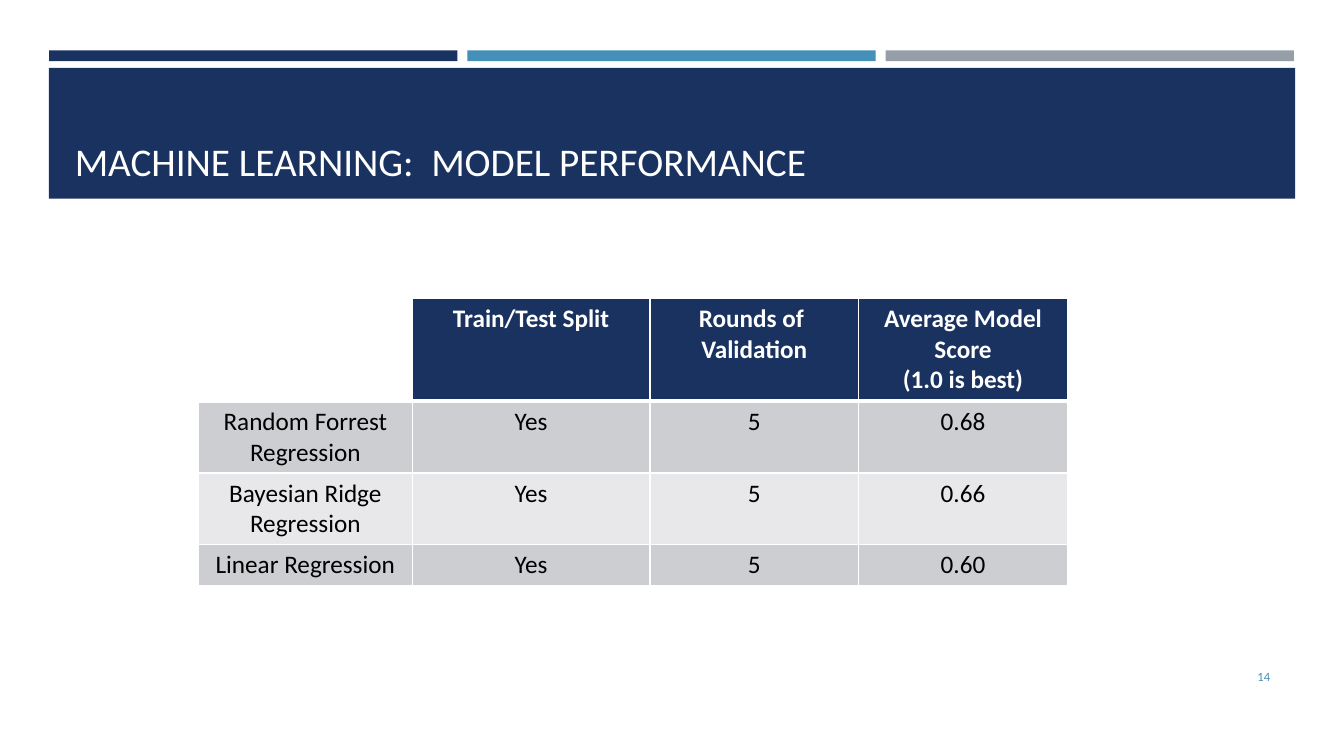
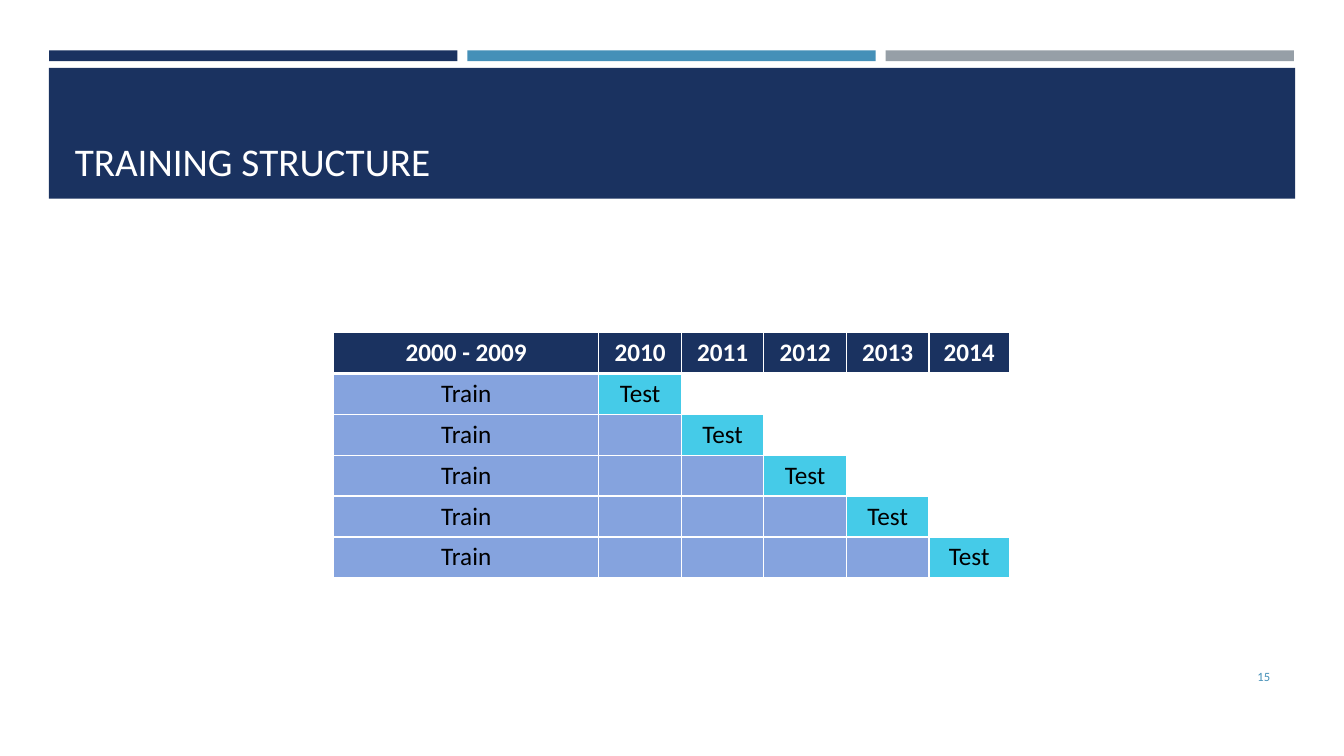
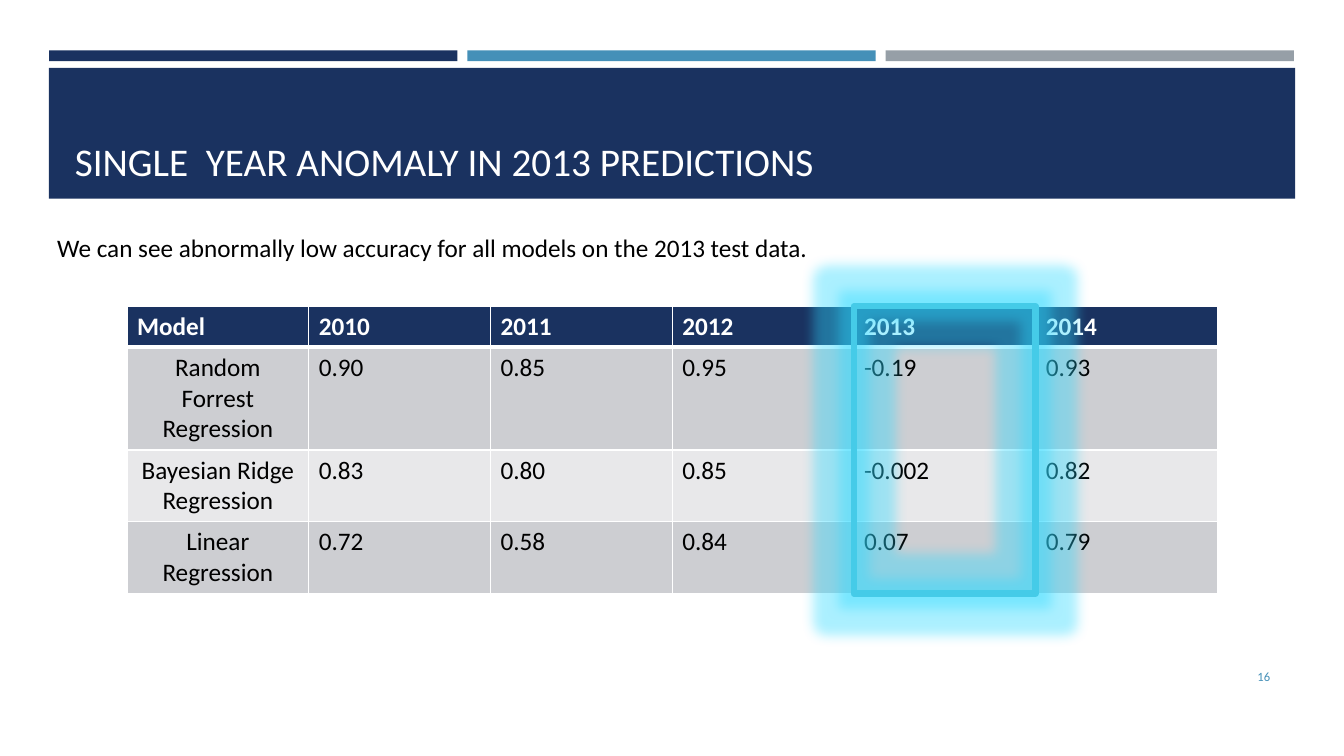
from dataclasses import dataclass
from typing import Callable

from lxml.etree import SubElement
from pptx import Presentation
from pptx.dml.color import RGBColor
from pptx.enum.shapes import MSO_SHAPE as Preset
from pptx.enum.text import MSO_ANCHOR as Anchor, MSO_AUTO_SIZE as AutoSize, PP_ALIGN as Align
from pptx.oxml.ns import qn
from pptx.util import Cm, Pt

COLOURS = {
    "navy": "1A3260",
    "blue": "4590B8",
    "grey": "969FA7",
    "white": "FFFFFF",
    "black": "000000",
    "band_dark": "CDCED2",
    "band_light": "E8E8EA",
    "train": "85A3DE",
    "test": "45CBE8",
}
FONT = "Calibri"
CELL_PADDING = 0.25
LINE_HEIGHT = 0.78
YEARS = ["2010", "2011", "2012", "2013", "2014"]
FIRST_PAGE = 14


@dataclass(frozen=True)
class Box:
    left: float
    top: float
    width: float
    height: float

    def lengths(self) -> tuple[Cm, Cm, Cm, Cm]:
        return Cm(self.left), Cm(self.top), Cm(self.width), Cm(self.height)


@dataclass(frozen=True)
class TextStyle:
    size: float
    colour: str
    bold: bool = False
    align: Align = Align.LEFT


@dataclass(frozen=True)
class Grid:
    left: float
    top: float
    widths: list[float]
    line_counts: list[int]
    rows: list[list[str]]
    fill: Callable[[int, int], str]
    align: Callable[[int, int], Align]

    def heights(self) -> list[float]:
        return [CELL_PADDING + LINE_HEIGHT * count for count in self.line_counts]

    def column_box(self, column: int) -> Box:
        return Box(self.left + sum(self.widths[:column]), self.top,
                   self.widths[column], sum(self.heights()))


@dataclass(frozen=True)
class Page:
    title: str
    grid: Grid
    caption: str = ""
    highlighted_column: int | None = None


BARS = [(Box(1.24 + 10.54 * i, 1.27, 10.29, 0.27), colour)
        for i, colour in enumerate(["navy", "blue", "grey"])]
BANNER = (Box(1.23, 1.71, 31.41, 3.3), "navy")
TITLE_BOX = Box(1.63, 1.96, 30.63, 2.82)
NUMBER_BOX = Box(29.34, 16.54, 2.92, 1.02)
CAPTION_BOX = Box(1.19, 5.74, 19.69, 1.03)

TITLE_STYLE = TextStyle(28, "white")
NUMBER_STYLE = TextStyle(9, "blue", align=Align.RIGHT)
CAPTION_STYLE = TextStyle(18, "black")


def rgb(name: str) -> RGBColor:
    return RGBColor.from_string(COLOURS[name])


def write(frame, text: str, style: TextStyle) -> None:
    frame.text = text
    for paragraph in frame.paragraphs:
        paragraph.alignment = style.align
        for run in paragraph.runs:
            run.font.name = FONT
            run.font.size = Pt(style.size)
            run.font.bold = style.bold
            run.font.color.rgb = rgb(style.colour)


def add_bar(slide, box: Box, colour: str) -> None:
    bar = slide.shapes.add_shape(Preset.RECTANGLE, *box.lengths())
    bar.shadow.inherit = False
    bar.fill.solid()
    bar.fill.fore_color.rgb = rgb(colour)
    bar.line.fill.background()
    slide.shapes.title.element.addprevious(bar.element)


def place_title(slide, text: str) -> None:
    title = slide.shapes.title
    title.left, title.top, title.width, title.height = TITLE_BOX.lengths()
    write(title.text_frame, text, TITLE_STYLE)
    title.text_frame.auto_size = AutoSize.NONE
    title.text_frame.vertical_anchor = Anchor.BOTTOM


def add_number(slide, number: int) -> None:
    frame = slide.shapes.add_textbox(*NUMBER_BOX.lengths()).text_frame
    frame.word_wrap = True
    frame.vertical_anchor = Anchor.MIDDLE
    write(frame, str(number), NUMBER_STYLE)


def add_caption(slide, text: str) -> None:
    frame = slide.shapes.add_textbox(*CAPTION_BOX.lengths()).text_frame
    frame.word_wrap = False
    frame.auto_size = AutoSize.SHAPE_TO_FIT_TEXT
    write(frame, text, CAPTION_STYLE)


def set_borders(cell, row: int) -> None:
    properties = cell._tc.get_or_add_tcPr()
    widths = {"lnL": 1, "lnR": 1, "lnT": 3 if row == 1 else 1, "lnB": 3 if row == 0 else 1}
    for side, width in widths.items():
        border = SubElement(properties, qn(f"a:{side}"), w=str(Pt(width)))
        fill = SubElement(border, qn("a:solidFill"))
        SubElement(fill, qn("a:srgbClr"), val=COLOURS["white"])


def add_grid(slide, grid: Grid) -> None:
    heights = grid.heights()
    box = Box(grid.left, grid.top, sum(grid.widths), sum(heights))
    table = slide.shapes.add_table(len(heights), len(grid.widths), *box.lengths()).table
    table.horz_banding = False
    for column, width in zip(table.columns, grid.widths):
        column.width = Cm(width)
    for row, height in zip(table.rows, heights):
        row.height = Cm(height)
    for r, texts in enumerate(grid.rows):
        for c, text in enumerate(texts):
            cell = table.cell(r, c)
            set_borders(cell, r)
            cell.fill.solid()
            cell.fill.fore_color.rgb = rgb(grid.fill(r, c))
            style = TextStyle(18, "black" if r else "white", r == 0, grid.align(r, c))
            write(cell.text_frame, text, style)


def add_highlight(slide, box: Box) -> None:
    highlight = slide.shapes.add_shape(Preset.RECTANGLE, *box.lengths())
    highlight.shadow.inherit = False
    highlight.fill.background()
    highlight.line.color.rgb = rgb("test")
    highlight.line.width = Pt(4.5)
    effects = highlight.element.spPr.find(qn("a:effectLst"))
    glow = SubElement(effects, qn("a:glow"), rad=str(Pt(18)))
    colour = SubElement(glow, qn("a:srgbClr"), val=COLOURS["test"])
    SubElement(colour, qn("a:satMod"), val="175000")
    SubElement(colour, qn("a:alpha"), val="40000")


def banded_fill(row: int, column: int) -> str:
    if row == 0:
        return "navy"
    return "band_dark" if row % 2 else "band_light"


def performance_fill(row: int, column: int) -> str:
    return "white" if row == column == 0 else banded_fill(row, column)


def split_fill(row: int, column: int) -> str:
    if row == 0:
        return "navy"
    if column == row:
        return "test"
    return "train" if column < row else "white"


def split_text(row: int, column: int) -> str:
    if column == 0:
        return "Train"
    return "Test" if column == row else ""


def centred(row: int, column: int) -> Align:
    return Align.CENTER


def centred_models(row: int, column: int) -> Align:
    return Align.CENTER if row and column == 0 else Align.LEFT


PERFORMANCE = Grid(
    5, 7.52, [5.39, 5.99, 5.26, 5.26], [3, 2, 2, 1],
    [
        ["", "Train/Test Split", "Rounds of  Validation", "Average Model Score\n(1.0 is best)"],
        ["Random Forrest Regression", "Yes", "5", "0.68"],
        ["Bayesian Ridge Regression", "Yes", "5", "0.66"],
        ["Linear Regression", "Yes", "5", "0.60"],
    ],
    performance_fill, centred,
)
SPLITS = Grid(
    8.41, 8.38, [6.68] + [2.08] * 4 + [2.03], [1] * 6,
    [["2000 - 2009", *YEARS]]
    + [[split_text(row, column) for column in range(6)] for row in range(1, 6)],
    split_fill, centred,
)
YEARLY_SCORES = Grid(
    3.2, 7.72, [4.58] * 6, [1, 3, 2, 2],
    [
        ["Model", *YEARS],
        ["Random Forrest Regression", "0.90", "0.85", "0.95", "-0.19", "0.93"],
        ["Bayesian Ridge Regression", "0.83", "0.80", "0.85", "-0.002", "0.82"],
        ["Linear Regression", "0.72", "0.58", "0.84", "0.07", "0.79"],
    ],
    banded_fill, centred_models,
)
PAGES = [
    Page("MACHINE LEARNING:  MODEL PERFORMANCE", PERFORMANCE),
    Page("TRAINING STRUCTURE", SPLITS),
    Page("SINGLE  YEAR ANOMALY IN 2013 PREDICTIONS", YEARLY_SCORES,
         "We can see abnormally low accuracy for all models on the 2013 test data.", 4),
]


def add_page(deck, page: Page, number: int) -> None:
    slide = deck.slides.add_slide(deck.slide_layouts.get_by_name("Title Only"))
    for box, colour in [*BARS, BANNER]:
        add_bar(slide, box, colour)
    place_title(slide, page.title)
    add_grid(slide, page.grid)
    add_number(slide, number)
    if page.highlighted_column is not None:
        add_highlight(slide, page.grid.column_box(page.highlighted_column))
    if page.caption:
        add_caption(slide, page.caption)


def main() -> None:
    deck = Presentation()
    deck.slide_width, deck.slide_height = Cm(33.87), Cm(19.05)
    for number, page in enumerate(PAGES, FIRST_PAGE):
        add_page(deck, page, number)
    deck.save("out.pptx")


if __name__ == "__main__":
    main()
